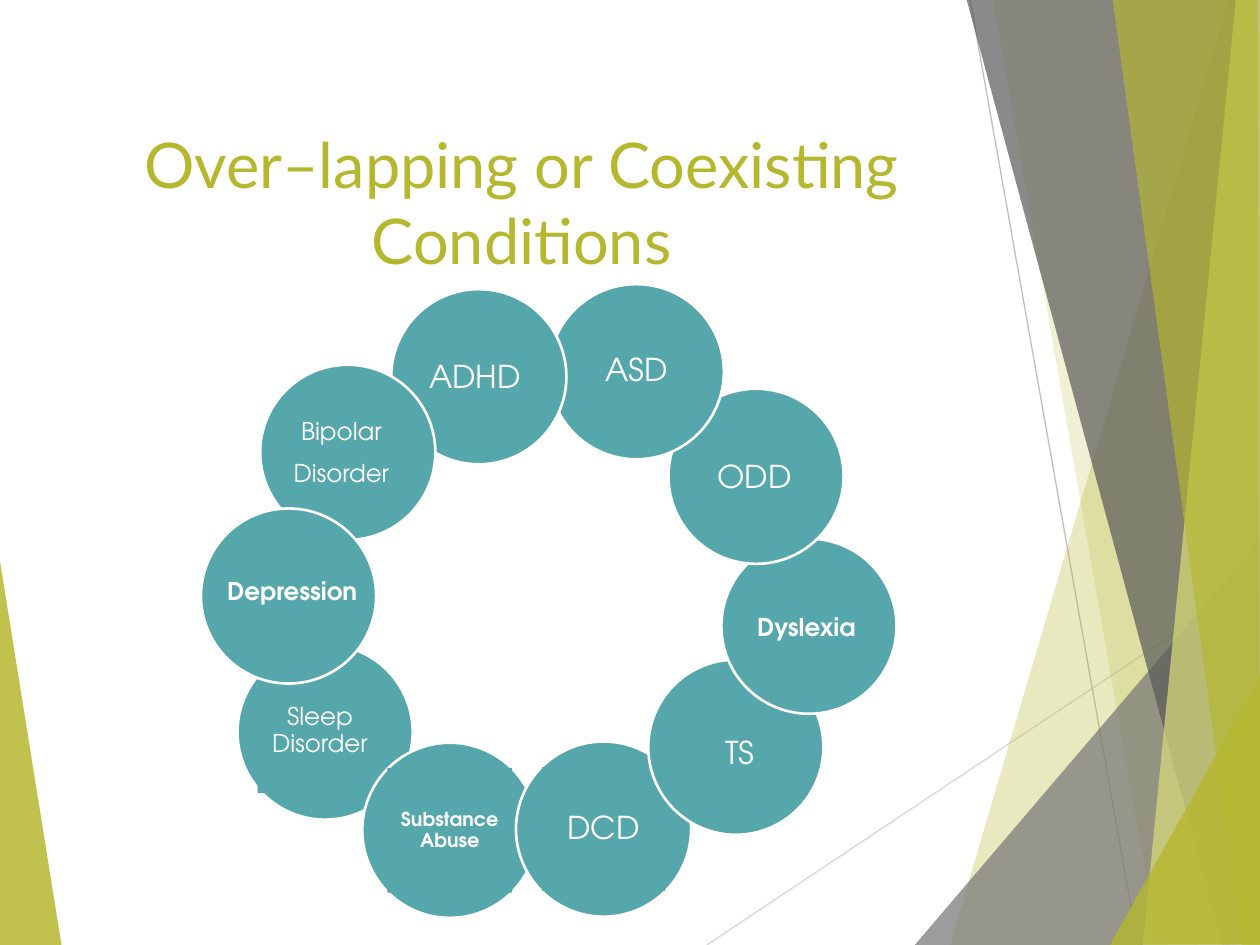
from lxml.etree import SubElement
from pptx import Presentation
from pptx.dml.color import RGBColor
from pptx.enum.shapes import MSO_CONNECTOR, MSO_SHAPE
from pptx.enum.text import MSO_ANCHOR, PP_ALIGN
from pptx.oxml.ns import qn
from pptx.util import Inches, Pt

WIDTH, HEIGHT = 10, 7.5
OLIVE, TEAL, WHITE = "B5B82E", "55A7AB", "FFFFFF"
DIAMETER = 1.39
UNITS_PER_INCH = 100  # freeform points are whole numbers
TITLE = "Over–lapping or Coexisting Conditions"

# Backdrop, back to front: corner points, colour, opacity in percent
LEFT_WEDGE = ([(-0.01, 4.39), (0.49, 7.51), (-0.01, 7.5)], OLIVE, 85)
RAYS = [((5.61, 7.5), (10.01, 4.57), "D9D9D9"),
        ((7.7, 0), (9.03, 7.5), "BFBFBF")]
RIGHT_FACETS = [
    ([(9.75, 0), (7.54, 7.5), (10.02, 7.51), (10.01, 0.01)], OLIVE, 30),
    ([(7.88, -0.01), (9.19, 7.5), (10.01, 7.5), (10.01, -0.01)], OLIVE, 20),
    ([(7.26, 7.5), (10, 4.29), (10.01, 7.5)], "777777", 72),
    ([(7.67, -0.01), (9.7, 7.5), (10.01, 7.49), (10.01, -0.01)], "595959", 70),
    ([(9.81, -0.01), (9.07, 7.5), (10.01, 7.5), (10, -0.01)], "DBDD79", 70),
    ([(8.83, -0.01), (9.86, 7.5), (10, 7.5), (9.98, -0.01)], OLIVE, 65),
    ([(8.81, 7.5), (10.01, 5.35), (10.01, 7.49)], OLIVE, 80),
]

# Ring, back to front: lines, circle centre, label centre, label size, points, bold, label fill
CONDITIONS = [
    (["Sleep Disorder"], (2.58, 5.81), (2.54, 5.8), (0.99, 0.99), 14, False, TEAL),
    (["Substance Abuse"], (3.57, 6.59), (3.57, 6.59), (0.99, 0.99), 11, True, TEAL),
    (["DCD"], (4.79, 6.58), (4.79, 6.58), (0.98, 0.98), 18, False, TEAL),
    (["TS"], (5.84, 5.93), (5.87, 5.99), (0.98, 0.98), 18, False, None),
    (["Dyslexia"], (6.42, 4.97), (6.4, 4.99), (0.98, 0.98), 14, True, None),
    (["ODD"], (6, 3.78), (5.99, 3.8), (0.93, 0.93), 18, False, None),
    (["ASD"], (5.05, 2.95), (5.05, 2.95), (0.93, 0.93), 18, False, None),
    (["ADHD"], (3.8, 2.99), (3.77, 3), (0.93, 0.93), 18, False, None),
    (["Bipolar", "Disorder"], (2.76, 3.59), (2.71, 3.6), (1.02, 0.93), 14, False, None),
    (["Depression"], (2.29, 4.73), (2.32, 4.7), (1.32, 0.99), 14, True, None),
]


def rgb(color):
    return RGBColor.from_string(color)


def centred(centre, size):
    """Left, top, width and height of a box around a centre."""
    return [Inches(v) for v in (centre[0] - size[0] / 2, centre[1] - size[1] / 2, *size)]


def add_facet(slide, points, color, opacity):
    start, *rest = [(round(x * UNITS_PER_INCH), round(y * UNITS_PER_INCH))
                    for x, y in points]
    builder = slide.shapes.build_freeform(*start, scale=Inches(1) / UNITS_PER_INCH)
    builder.add_line_segments(rest, close=True)
    facet = builder.convert_to_shape()
    facet.shadow.inherit = False
    facet.line.fill.background()
    facet.fill.solid()
    facet.fill.fore_color.rgb = rgb(color)
    swatch = facet._element.spPr.find(".//" + qn("a:srgbClr"))
    SubElement(swatch, qn("a:alpha"), val=str(opacity * 1000))


def add_ray(slide, start, end, color):
    ray = slide.shapes.add_connector(
        MSO_CONNECTOR.STRAIGHT, *[Inches(v) for v in (*start, *end)])
    ray.line.color.rgb = rgb(color)
    ray.line.width = Pt(0.75)
    SubElement(ray._element.spPr, qn("a:effectLst"))


def add_circle(slide, centre):
    circle = slide.shapes.add_shape(
        MSO_SHAPE.OVAL, *centred(centre, (DIAMETER, DIAMETER)))
    circle.shadow.inherit = False
    circle.fill.solid()
    circle.fill.fore_color.rgb = rgb(TEAL)
    circle.line.color.rgb = rgb(WHITE)
    circle.line.width = Pt(1.5)


def add_text(slide, lines, box, *, font, size, color, bold=False, fill=None,
             anchor=MSO_ANCHOR.MIDDLE, inset=None, spacing=None, after=None):
    label = slide.shapes.add_textbox(*box)
    if fill:
        label.fill.solid()
        label.fill.fore_color.rgb = rgb(fill)
    frame = label.text_frame
    frame.word_wrap = True
    frame.vertical_anchor = anchor
    if inset is not None:
        frame.margin_left = frame.margin_right = Inches(inset)
        frame.margin_top = frame.margin_bottom = Inches(inset)
    for i, line in enumerate(lines):
        paragraph = frame.add_paragraph() if i else frame.paragraphs[0]
        paragraph.alignment = PP_ALIGN.CENTER
        paragraph.line_spacing = spacing
        paragraph.space_after = after
        run = paragraph.add_run()
        run.text = line
        run.font.name, run.font.size, run.font.bold = font, Pt(size), bold
        run.font.color.rgb = rgb(color)


def main():
    deck = Presentation()
    deck.slide_width, deck.slide_height = Inches(WIDTH), Inches(HEIGHT)
    slide = deck.slides.add_slide(deck.slide_layouts[6])

    add_facet(slide, *LEFT_WEDGE)
    for ray in RAYS:
        add_ray(slide, *ray)
    for facet in RIGHT_FACETS:
        add_facet(slide, *facet)

    add_text(slide, [TITLE], centred((4.14, 1.67), (6.94, 1.44)),
             font="Lato", size=36, color=OLIVE, anchor=MSO_ANCHOR.TOP)
    for lines, centre, label_centre, label_size, points, bold, fill in CONDITIONS:
        add_circle(slide, centre)
        add_text(slide, lines, centred(label_centre, label_size),
                 font="TeX Gyre Adventor", size=points, color=WHITE, bold=bold,
                 fill=fill, inset=0.09, spacing=0.9, after=Pt(9.2))

    deck.save("out.pptx")


if __name__ == "__main__":
    main()
